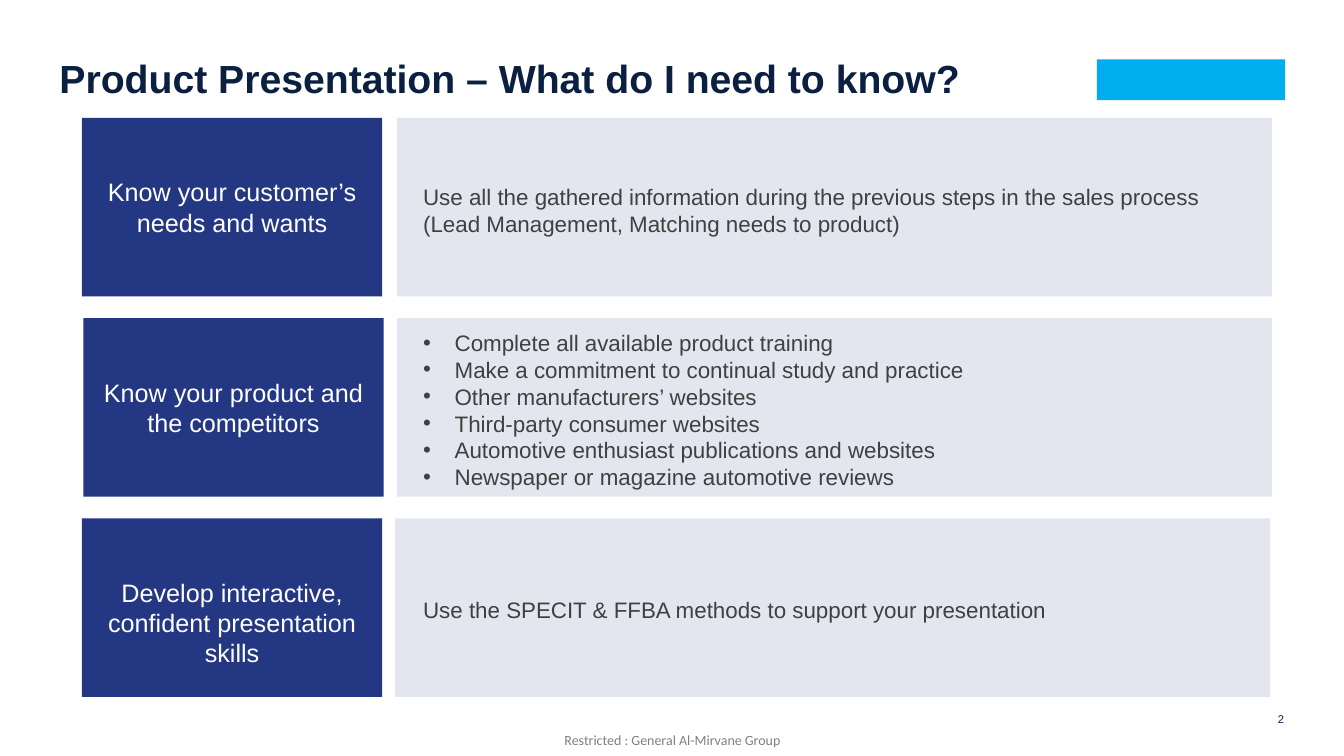
from dataclasses import dataclass

from lxml import etree
from pptx import Presentation
from pptx.dml.color import RGBColor
from pptx.enum.shapes import MSO_SHAPE
from pptx.enum.text import MSO_ANCHOR, MSO_AUTO_SIZE, PP_ALIGN
from pptx.oxml.ns import qn
from pptx.slide import Slide
from pptx.text.text import TextFrame
from pptx.util import Pt

RECTANGLE = MSO_SHAPE.RECTANGLE
TOP, BOTTOM = MSO_ANCHOR.TOP, MSO_ANCHOR.BOTTOM
LEFT, CENTER, RIGHT = PP_ALIGN.LEFT, PP_ALIGN.CENTER, PP_ALIGN.RIGHT
NO_AUTOFIT = MSO_AUTO_SIZE.NONE
TITLE_ONLY = 5


@dataclass(frozen=True)
class Theme:
    navy: str = "0B1F41"
    blue: str = "243782"
    sky: str = "00AEEF"
    white: str = "FFFFFF"
    body: str = "404040"
    footer: str = "808080"
    panel_opacity: int = 12
    font: str = "Arial"
    footer_font: str = "Calibri"
    title_size: int = 28
    label_size: int = 18
    body_size: int = 16
    footer_size: int = 10
    number_size: int = 8


@dataclass(frozen=True)
class Frame:
    left: float
    top: float
    width: float
    height: float


@dataclass(frozen=True)
class TextStyle:
    size: int
    color: str
    font: str
    align: PP_ALIGN = LEFT
    anchor: MSO_ANCHOR = TOP
    margins: tuple[float, float] = (7.2, 3.6)
    bold: bool = False
    bulleted: bool = False
    line_spacing: float = 1.0


@dataclass(frozen=True)
class Topic:
    label: str
    points: tuple[str, ...]
    label_left: float
    label_height: float
    panel_left: float
    body_top: float
    body_height: float


THEME = Theme()
ROW_TOP, ROW_PITCH, ROW_HEIGHT = 84.25, 143, 127.5
LABEL_WIDTH, LABEL_OFFSET = 214.5, 38.4
PANEL_WIDTH = 625
BODY_LEFT, BODY_WIDTH = 295.2, 604
BULLET_INDENT = 22.5

TITLE_STYLE = TextStyle(THEME.title_size, THEME.navy, THEME.font,
                        margins=(0, 0), bold=True, line_spacing=0.9)
LABEL_STYLE = TextStyle(THEME.label_size, THEME.white, THEME.font, CENTER)
BODY_STYLE = TextStyle(THEME.body_size, THEME.body, THEME.font)
BULLET_STYLE = TextStyle(THEME.body_size, THEME.body, THEME.font, bulleted=True)
FOOTER_STYLE = TextStyle(THEME.footer_size, THEME.footer, THEME.footer_font, margins=(0, 0))
NUMBER_STYLE = TextStyle(THEME.number_size, THEME.navy, THEME.font, RIGHT, BOTTOM, (0, 0))

TOPICS = (
    Topic("Know your customer’s needs and wants",
          ("Use all the gathered information during the previous steps in the sales process "
           "(Lead Management, Matching needs to product)",),
          58.5, 51, 283.5, 127.5, 46),
    Topic("Know your product and the competitors",
          ("Complete all available product training",
           "Make a commitment to continual study and practice",
           "Other manufacturers’ websites",
           "Third-party consumer websites",
           "Automotive enthusiast publications and websites",
           "Newspaper or magazine automotive reviews"),
          59.5, 51, 283.5, 231.5, 124),
    Topic("Develop interactive, confident presentation skills",
          ("Use the SPECIT & FFBA methods to support your presentation",),
          58.5, 73, 282.25, 422.5, 26.5),
)


def points(frame: Frame) -> tuple[Pt, Pt, Pt, Pt]:
    return Pt(frame.left), Pt(frame.top), Pt(frame.width), Pt(frame.height)


def write_text(text: TextFrame, lines: tuple[str, ...], style: TextStyle) -> None:
    side, edge = map(Pt, style.margins)
    frame_format = {"word_wrap": True, "auto_size": NO_AUTOFIT,
                    "vertical_anchor": style.anchor,
                    "margin_left": side, "margin_right": side,
                    "margin_top": edge, "margin_bottom": edge}
    for name, value in frame_format.items():
        setattr(text, name, value)
    font_format = {"name": style.font, "size": Pt(style.size), "bold": style.bold}
    for index, line in enumerate(lines):
        para = text.add_paragraph() if index else text.paragraphs[0]
        para.alignment = style.align
        para.line_spacing = style.line_spacing
        if style.bulleted:
            properties = para._p.get_or_add_pPr()
            properties.set("marL", str(Pt(BULLET_INDENT)))
            properties.set("indent", str(-Pt(BULLET_INDENT)))
            etree.SubElement(properties, qn("a:buFont")).set("typeface", style.font)
            etree.SubElement(properties, qn("a:buChar")).set("char", "•")
        span = para.add_run()
        span.text = line
        for name, value in font_format.items():
            setattr(span.font, name, value)
        span.font.color.rgb = RGBColor.from_string(style.color)


def add_text(page: Slide, frame: Frame, lines: tuple[str, ...], style: TextStyle) -> None:
    box = page.shapes.add_textbox(*points(frame))
    write_text(box.text_frame, lines, style)


def add_block(page: Slide, frame: Frame, color: str, opacity: int = 100) -> None:
    block = page.shapes.add_shape(RECTANGLE, *points(frame))
    block.shadow.inherit = False
    block.line.fill.background()
    block.fill.solid()
    block.fill.fore_color.rgb = RGBColor.from_string(color)
    if opacity < 100:
        tint = block._element.spPr.find(qn("a:solidFill"))[0]
        etree.SubElement(tint, qn("a:alpha")).set("val", str(opacity * 1000))


def add_title(page: Slide, frame: Frame, wording: str) -> None:
    title = page.shapes.title
    title.left, title.top, title.width, title.height = points(frame)
    write_text(title.text_frame, (wording,), TITLE_STYLE)


def add_topic(page: Slide, topic: Topic, top: float) -> None:
    add_block(page, Frame(topic.label_left, top, LABEL_WIDTH, ROW_HEIGHT), THEME.blue)
    add_block(page, Frame(topic.panel_left, top, PANEL_WIDTH, ROW_HEIGHT),
              THEME.blue, THEME.panel_opacity)
    add_text(page, Frame(topic.label_left, top + LABEL_OFFSET, LABEL_WIDTH, topic.label_height),
             (topic.label,), LABEL_STYLE)
    body_style = BULLET_STYLE if len(topic.points) > 1 else BODY_STYLE
    add_text(page, Frame(BODY_LEFT, topic.body_top, BODY_WIDTH, topic.body_height),
             topic.points, body_style)


def main() -> None:
    deck = Presentation()
    deck.slide_width, deck.slide_height = Pt(960), Pt(540)
    page = deck.slides.add_slide(deck.slide_layouts[TITLE_ONLY])
    add_block(page, Frame(783.5, 42.5, 134.5, 29), THEME.sky)
    add_title(page, Frame(42.5, 42.5, 726.5, 30),
              "Product Presentation – What do I need to know?")
    for index, topic in enumerate(TOPICS):
        add_topic(page, topic, ROW_TOP + index * ROW_PITCH)
    add_text(page, Frame(403.2, 522.7, 156, 12.2),
             ("Restricted : General Al-Mirvane Group",), FOOTER_STYLE)
    add_text(page, Frame(899.3, 509, 18, 9.4), ("2",), NUMBER_STYLE)
    deck.save("out.pptx")


if __name__ == "__main__":
    main()
